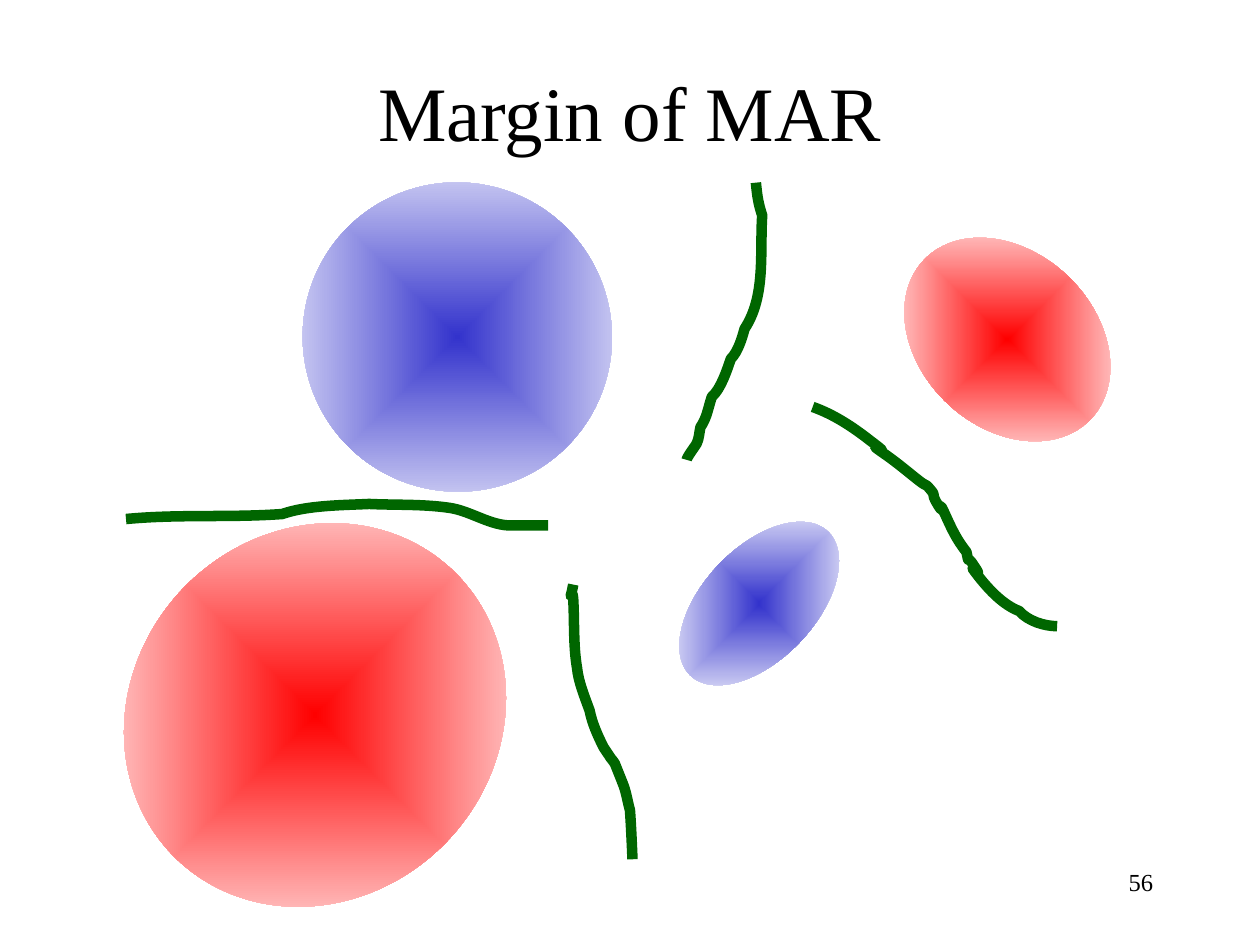
from lxml.etree import SubElement
from pptx import Presentation
from pptx.dml.color import RGBColor
from pptx.enum.shapes import MSO_SHAPE
from pptx.enum.text import MSO_ANCHOR, MSO_AUTO_SIZE, PP_ALIGN
from pptx.oxml.ns import qn
from pptx.util import Inches, Pt

COLORS = {"text": "000000", "blue": "3333CC", "red": "FF0000",
          "edge": "FFFFFF", "boundary": "006600"}
FONT = "Times New Roman"
TILT = 43.7

# colour, left, top, width, height
CLUSTERS = [
    ("blue", 5.58, 4, 0.89, 1.58),
    ("red", 7.08, 2, 1.83, 1.39),
    ("red", 1.05, 4.09, 2.9, 3.17),
    ("blue", 2.4, 1.45, 2.46, 2.45),
]

# Start point, then three points (two controls and an end) for each curve
BOUNDARIES = [
    [(1, 4.12),
     (1.41, 4.08), (1.83, 4.11), (2.24, 4.08),
     (2.44, 4.01), (2.72, 4.01), (2.93, 4),
     (3.14, 4.01), (3.35, 4), (3.56, 4.03),
     (3.72, 4.05), (3.87, 4.16), (4.03, 4.17),
     (4.14, 4.17), (4.24, 4.17), (4.35, 4.17)],
    [(6, 1.45),
     (6.01, 1.56), (6.02, 1.62), (6.05, 1.71),
     (6.03, 2.01), (6.08, 2.35), (5.91, 2.61),
     (5.89, 2.68), (5.86, 2.79), (5.8, 2.85),
     (5.77, 2.94), (5.72, 3.09), (5.65, 3.15),
     (5.62, 3.24), (5.61, 3.32), (5.56, 3.39),
     (5.55, 3.43), (5.55, 3.48), (5.53, 3.52),
     (5.52, 3.54), (5.45, 3.63), (5.45, 3.65)],
    [(6.45, 3.23),
     (6.62, 3.29), (6.77, 3.39), (6.91, 3.5),
     (7.15, 3.68), (6.8, 3.45), (7.03, 3.61),
     (7.13, 3.68), (7.21, 3.75), (7.3, 3.82),
     (7.35, 3.86), (7.35, 3.84), (7.38, 3.88),
     (7.44, 3.95), (7.38, 3.9), (7.44, 4),
     (7.51, 4.12), (7.43, 3.93), (7.5, 4.08),
     (7.55, 4.19), (7.59, 4.28), (7.67, 4.38),
     (7.7, 4.51), (7.66, 4.38), (7.73, 4.49),
     (7.84, 4.65), (7.63, 4.4), (7.77, 4.58),
     (7.85, 4.68), (7.96, 4.8), (8.09, 4.85),
     (8.16, 4.93), (8.29, 4.97), (8.39, 4.97)],
    [(4.55, 4.64),
     (4.51, 4.84), (4.54, 4.62), (4.55, 4.76),
     (4.56, 4.93), (4.55, 5.13), (4.58, 5.3),
     (4.59, 5.41), (4.64, 5.53), (4.68, 5.64),
     (4.7, 5.74), (4.74, 5.83), (4.79, 5.93),
     (4.81, 5.96), (4.83, 5.99), (4.85, 6.02),
     (4.86, 6.03), (4.88, 6.06), (4.88, 6.06),
     (4.9, 6.11), (4.92, 6.16), (4.94, 6.21),
     (4.97, 6.28), (4.98, 6.36), (5, 6.43),
     (5.01, 6.56), (5.02, 6.82), (5.02, 6.82)],
]


def rgb(name):
    return RGBColor.from_string(COLORS[name])


def write_text(shape, text, size, align, anchor):
    frame = shape.text_frame
    frame.text = text
    frame_format = {
        "word_wrap": True, "auto_size": MSO_AUTO_SIZE.NONE,
        "vertical_anchor": anchor,
        "margin_left": Inches(0.1), "margin_right": Inches(0.1),
        "margin_top": Inches(0.05), "margin_bottom": Inches(0.05),
    }
    for name, value in frame_format.items():
        setattr(frame, name, value)
    paragraph = frame.paragraphs[0]
    paragraph.alignment = align
    font = paragraph.runs[0].font
    for name, value in {"name": FONT, "size": Pt(size)}.items():
        setattr(font, name, value)
    font.color.rgb = rgb("text")


def add_title(slide, text):
    title = slide.shapes.title
    place = {"left": 0.25, "top": 0.25, "width": 9.5, "height": 1.25}
    for name, value in place.items():
        setattr(title, name, Inches(value))
    write_text(title, text, 44, PP_ALIGN.CENTER, MSO_ANCHOR.MIDDLE)


def add_cluster(slide, color, *box):
    """Add a tilted ellipse that fades from its centre outwards."""
    cluster = slide.shapes.add_shape(MSO_SHAPE.OVAL, *map(Inches, box))
    cluster.rotation = TILT
    cluster.shadow.inherit = False
    cluster.line.fill.background()
    cluster.fill.gradient()
    for stop, name, position in zip(cluster.fill.gradient_stops,
                                    (color, "edge"), (0, 1)):
        stop.color.rgb = rgb(name)
        stop.position = position
    gradient = cluster._element.spPr.find(qn("a:gradFill"))
    gradient.set("rotWithShape", "0")
    gradient.remove(gradient.find(qn("a:lin")))
    fade = SubElement(gradient, qn("a:path"), path="rect")
    SubElement(fade, qn("a:fillToRect"),
               dict.fromkeys("ltrb", "50000"))


def add_boundary(slide, points):
    """Add an open line of cubic curves."""
    start, *rest = [(Inches(x), Inches(y)) for x, y in points]
    builder = slide.shapes.build_freeform(*start)
    builder.add_line_segments(rest, close=False)
    boundary = builder.convert_to_shape()
    segments = list(boundary._element.iter(qn("a:lnTo")))
    outline = segments[0].getparent()
    for first in range(0, len(segments), 3):
        curve = SubElement(outline, qn("a:cubicBezTo"))
        for segment in segments[first:first + 3]:
            curve.append(segment[0])
            outline.remove(segment)
    boundary.shadow.inherit = False
    boundary.fill.background()
    boundary.line.color.rgb = rgb("boundary")
    boundary.line.width = Pt(6)


def add_page_number(slide, number):
    box = slide.shapes.add_textbox(*map(Inches, (7.17, 6.83, 2.08, 0.5)))
    write_text(box, number, 14, PP_ALIGN.RIGHT, MSO_ANCHOR.TOP)


def main():
    deck = Presentation()
    deck.slide_width, deck.slide_height = Inches(10), Inches(7.5)
    slide = deck.slides.add_slide(deck.slide_layouts[5])
    add_title(slide, "Margin of MAR")
    for cluster in CLUSTERS:
        add_cluster(slide, *cluster)
    for points in BOUNDARIES:
        add_boundary(slide, points)
    add_page_number(slide, "56")
    deck.save("out.pptx")


if __name__ == "__main__":
    main()
